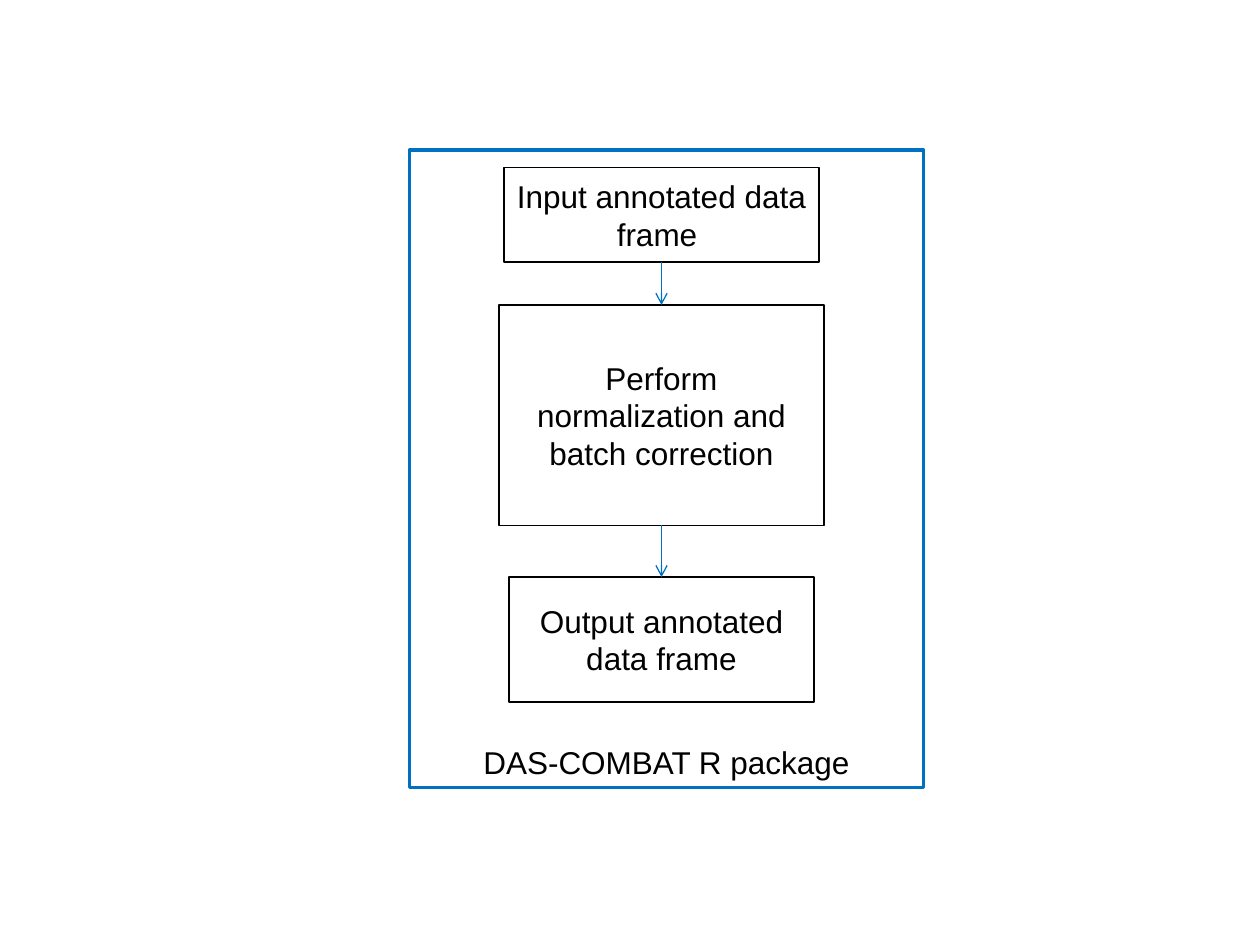
from lxml import etree
from pptx import Presentation
from pptx.dml.color import RGBColor
from pptx.enum.shapes import MSO_CONNECTOR, MSO_SHAPE
from pptx.enum.text import MSO_ANCHOR, PP_ALIGN
from pptx.oxml.ns import qn
from pptx.util import Inches, Pt

RECT, STRAIGHT = MSO_SHAPE.RECTANGLE, MSO_CONNECTOR.STRAIGHT
MIDDLE, BOTTOM, CENTER = MSO_ANCHOR.MIDDLE, MSO_ANCHOR.BOTTOM, PP_ALIGN.CENTER
COLORS = {"frame": "0070C0", "step": "000000", "text": "000000"}
FONT = {"name": "Arial", "size": Pt(18)}
AXIS = 1.0 + 1.0
STEPS = [
    (0.14, 2.5, 0.75, ["Input annotated data", "frame "]),
    (1.23, 2.58, 1.75, ["Perform normalization and batch correction"]),
    (3.39, 2.42, 0.99, ["Output annotated data frame"]),
]


def add_box(s, box, lines, color, width, anchor):
    """Add an unfilled outlined rectangle with centred text."""
    sp = s.shapes.add_shape(RECT, *map(Inches, box))
    sp.shadow.inherit = False
    sp.fill.background()
    sp.line.color.rgb = RGBColor.from_string(COLORS[color])
    sp.line.width = Pt(width)
    tf = sp.text_frame
    tf.word_wrap = True
    tf.vertical_anchor = anchor
    for i, line in enumerate(lines):
        p = tf.add_paragraph() if i else tf.paragraphs[0]
        p.alignment = CENTER
        r = p.add_run()
        r.text = line
        for name, value in FONT.items():
            setattr(r.font, name, value)
        r.font.color.rgb = RGBColor.from_string(COLORS["text"])


def add_arrow(s, x, top, bottom):
    """Add a downward arrow with an open head."""
    line = s.shapes.add_connector(STRAIGHT, *map(Inches, (x, top, x, bottom)))
    line.line.color.rgb = RGBColor.from_string(COLORS["frame"])
    line.line.width = Pt(0.75)
    etree.SubElement(line.line._get_or_add_ln(), qn("a:tailEnd"), type="arrow")
    etree.SubElement(line._element.spPr, qn("a:effectLst"))


def add_workflow(s, left, top, width, height):
    """Place the package frame, its steps and the arrows between them."""
    add_box(s, (left, top, width, height), ["DAS-COMBAT R package"],
            "frame", 2, BOTTOM)
    x = left + AXIS
    for y, w, h, lines in STEPS:
        add_box(s, (x - w / 2, top + y, w, h), lines, "step", 1, MIDDLE)
    for (y, _, h, _), following in zip(STEPS, STEPS[1:]):
        add_arrow(s, x, top + y + h, top + following[0])


def main():
    """Build the slide and save it."""
    prs = Presentation()
    prs.slide_width, prs.slide_height = Inches(10), Inches(7.5)
    s = prs.slides.add_slide(prs.slide_layouts[6])
    add_workflow(s, 3.25, 1.19, 4.08, 5.06)
    prs.save("out.pptx")


main()
